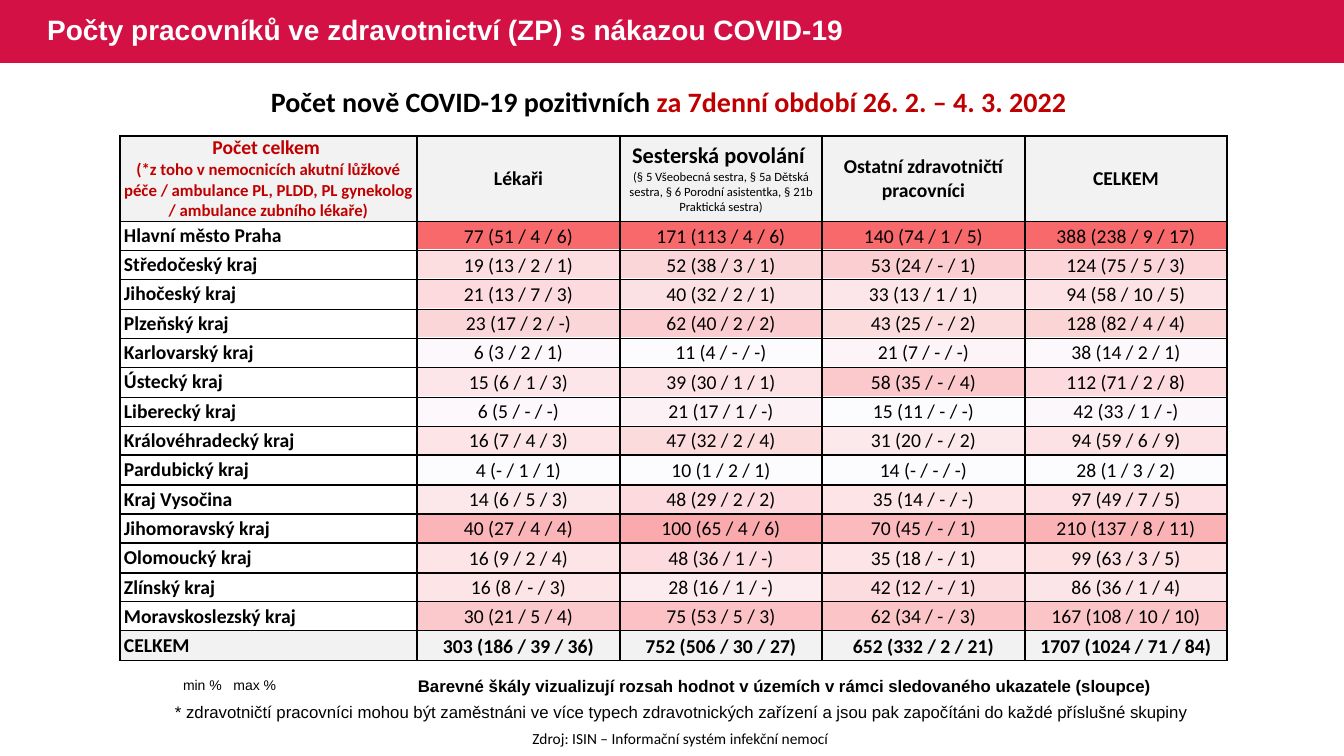
from math import ceil
from pptx import Presentation
from pptx.dml.color import RGBColor
from pptx.enum.shapes import MSO_SHAPE as Preset
from pptx.enum.text import MSO_ANCHOR as Anchor, PP_ALIGN as Align
from pptx.oxml import parse_xml
from pptx.oxml.ns import nsdecls
from pptx.util import Emu, Pt

CRIMSON = RGBColor(0xD3, 0x11, 0x45)
DARK_RED = RGBColor(0xC0, 0x00, 0x00)
LIGHT_GRAY = RGBColor(0xF2, 0xF2, 0xF2)
BLACK = RGBColor(0x00, 0x00, 0x00)
WHITE = RGBColor(0xFF, 0xFF, 0xFF)
SCALE_MIN = RGBColor(0xFC, 0xFC, 0xFF)
SCALE_MAX = RGBColor(0xF8, 0x69, 0x6B)


def px(length):
    return Emu(round(length * 12192000 / 1344))


def write(paragraph, text, size, color=BLACK, bold=False, name="Calibri"):
    run = paragraph.add_run()
    run.text = text
    for attribute, value in {"size": Pt(size), "bold": bold, "name": name}.items():
        setattr(run.font, attribute, value)
    run.font.color.rgb = color


presentation = Presentation()
presentation.slide_width = px(1344)
presentation.slide_height = px(756)
slide = presentation.slides.add_slide(presentation.slide_layouts[5])

title = slide.shapes.title
bar = slide.shapes.add_shape(Preset.RECTANGLE, 0, 0, px(1344), px(63))
bar.shadow.inherit = False
bar.fill.solid()
bar.fill.fore_color.rgb = CRIMSON
bar.line.fill.background()
title._element.addprevious(bar._element)

title.left, title.top, title.width, title.height = px(37), px(0), px(867), px(63)
title.text_frame.vertical_anchor = Anchor.MIDDLE
heading = title.text_frame.paragraphs[0]
heading.alignment = Align.LEFT
heading.line_spacing = 0.9
write(heading, "Počty pracovníků ve zdravotnictví (ZP) s nákazou COVID-19", 20, WHITE, True, "Arial")

header = [
    [("Počet celkem ", 14, DARK_RED, True),
     ("(*z toho v nemocnicích akutní lůžkové péče / ambulance PL, PLDD, PL gynekolog"
      " / ambulance zubního lékaře)", 12, DARK_RED, True)],
    [("Lékaři", 14, BLACK, True)],
    [("Sesterská povolání ", 16, BLACK, True),
     ("(§ 5 Všeobecná sestra, § 5a Dětská sestra, § 6 Porodní asistentka,"
      " § 21b Praktická sestra)", 9, BLACK, False)],
    [("Ostatní zdravotničtí pracovníci", 14, BLACK, True)],
    [("CELKEM", 14, BLACK, True)],
]
regions = [
    ["Hlavní město Praha", "77 (51 / 4 / 6)", "171 (113 / 4 / 6)", "140 (74 / 1 / 5)", "388 (238 / 9 / 17)"],
    ["Středočeský kraj", "19 (13 / 2 / 1)", "52 (38 / 3 / 1)", "53 (24 / - / 1)", "124 (75 / 5 / 3)"],
    ["Jihočeský kraj", "21 (13 / 7 / 3)", "40 (32 / 2 / 1)", "33 (13 / 1 / 1)", "94 (58 / 10 / 5)"],
    ["Plzeňský kraj", "23 (17 / 2 / -)", "62 (40 / 2 / 2)", "43 (25 / - / 2)", "128 (82 / 4 / 4)"],
    ["Karlovarský kraj", "6 (3 / 2 / 1)", "11 (4 / - / -)", "21 (7 / - / -)", "38 (14 / 2 / 1)"],
    ["Ústecký kraj", "15 (6 / 1 / 3)", "39 (30 / 1 / 1)", "58 (35 / - / 4)", "112 (71 / 2 / 8)"],
    ["Liberecký kraj", "6 (5 / - / -)", "21 (17 / 1 / -)", "15 (11 / - / -)", "42 (33 / 1 / -)"],
    ["Královéhradecký kraj", "16 (7 / 4 / 3)", "47 (32 / 2 / 4)", "31 (20 / - / 2)", "94 (59 / 6 / 9)"],
    ["Pardubický kraj", "4 (- / 1 / 1)", "10 (1 / 2 / 1)", "14 (- / - / -)", "28 (1 / 3 / 2)"],
    ["Kraj Vysočina", "14 (6 / 5 / 3)", "48 (29 / 2 / 2)", "35 (14 / - / -)", "97 (49 / 7 / 5)"],
    ["Jihomoravský kraj", "40 (27 / 4 / 4)", "100 (65 / 4 / 6)", "70 (45 / - / 1)", "210 (137 / 8 / 11)"],
    ["Olomoucký kraj", "16 (9 / 2 / 4)", "48 (36 / 1 / -)", "35 (18 / - / 1)", "99 (63 / 3 / 5)"],
    ["Zlínský kraj", "16 (8 / - / 3)", "28 (16 / 1 / -)", "42 (12 / - / 1)", "86 (36 / 1 / 4)"],
    ["Moravskoslezský kraj", "30 (21 / 5 / 4)", "75 (53 / 5 / 3)", "62 (34 / - / 3)", "167 (108 / 10 / 10)"],
]
total = ["CELKEM", "303 (186 / 39 / 36)", "752 (506 / 30 / 27)", "652 (332 / 2 / 21)", "1707 (1024 / 71 / 84)"]

rows = [header]
for region in regions:
    rows.append([[(text, 14, BLACK, column == 0)] for column, text in enumerate(region)])
rows.append([[(text, 14, BLACK, True)] for text in total])

counts = [[int(text.split()[0]) for text in region[1:]] for region in regions]
limits = [(min(column), max(column)) for column in zip(*counts)]
widths = [297, 203, 202, 203, 202]
heights = [85] + [29, 29, 30] * 5

shading = slide.shapes.add_table(15, 4, px(417), px(221), px(810), px(440)).table
table = slide.shapes.add_table(16, 5, px(120), px(136), px(1107), px(525)).table
for grid, grid_widths, grid_heights in ((shading, widths[1:], heights[1:]), (table, widths, heights)):
    grid.first_row = False
    grid.horz_banding = False
    for column, width in zip(grid.columns, grid_widths):
        column.width = px(width)
    for row, height in zip(grid.rows, grid_heights):
        row.height = px(height)

for cell in shading.iter_cells():
    for edge in ("left", "right", "top", "bottom"):
        setattr(cell, f"margin_{edge}", 0)
    cell.text_frame.paragraphs[0]._p.append(parse_xml(f'<a:endParaRPr {nsdecls("a")} sz="1000"/>'))
    cell.fill.background()
for row_index, row_counts in enumerate(counts):
    for column, count in enumerate(row_counts):
        low, high = limits[column]
        share = (count - low) / (high - low)
        fill = shading.cell(row_index, column).fill
        fill.solid()
        fill.fore_color.rgb = RGBColor(*(ceil(start + (end - start) * share)
                                         for start, end in zip(SCALE_MIN, SCALE_MAX)))

for row_index, row in enumerate(rows):
    for column, lines in enumerate(row):
        cell = table.cell(row_index, column)
        is_value = row_index > 0 and column > 0
        side = px(1 if is_value else 4)
        margins = {"margin_left": side, "margin_right": side,
                   "margin_top": px(1 if is_value else 0), "margin_bottom": 0}
        for attribute, value in margins.items():
            setattr(cell, attribute, value)
        cell.vertical_anchor = Anchor.MIDDLE
        for edge in ("lnL", "lnR", "lnT", "lnB"):
            cell._tc.get_or_add_tcPr().append(parse_xml(
                f'<a:{edge} {nsdecls("a")} w="12700"><a:solidFill>'
                f'<a:srgbClr val="{BLACK}"/></a:solidFill></a:{edge}>'))
        if row_index in (0, len(rows) - 1):
            cell.fill.solid()
            cell.fill.fore_color.rgb = LIGHT_GRAY
        else:
            cell.fill.background()
        for line_index, line in enumerate(lines):
            frame = cell.text_frame
            paragraph = frame.add_paragraph() if line_index else frame.paragraphs[0]
            paragraph.alignment = Align.LEFT if row_index and column == 0 else Align.CENTER
            write(paragraph, *line)

captions = [
    (67, 80, 1210, 44, Align.CENTER,
     [("Počet nově COVID-19 pozitivních ", 20, BLACK, True),
      ("za 7denní období 26. 2. – 4. 3. 2022 ", 20, DARK_RED, True)]),
    (408, 671, 778, 30, Align.LEFT,
     [("Barevné škály vizualizují rozsah hodnot v územích v rámci sledovaného ukazatele (sloupce)",
       12, BLACK, True, "Arial")]),
    (165, 697, 1034, 30, Align.LEFT,
     [("* zdravotničtí pracovníci mohou být zaměstnáni ve více typech zdravotnických zařízení"
       " a jsou pak započítáni do každé příslušné skupiny", 12, BLACK, False, "Arial")]),
    (330, 724, 701, 29, Align.CENTER,
     [("Zdroj: ISIN – Informační systém infekční nemocí", 11)]),
]
for left, top, width, height, alignment, runs in captions:
    frame = slide.shapes.add_textbox(px(left), px(top), px(width), px(height)).text_frame
    frame.word_wrap = True
    frame.paragraphs[0].alignment = alignment
    for run in runs:
        write(frame.paragraphs[0], *run)

scale_frame = slide.shapes.add_textbox(px(175), px(677), px(236), px(17)).text_frame
scale_frame.word_wrap = True
for edge in ("left", "right", "top", "bottom"):
    setattr(scale_frame, f"margin_{edge}", 0)
scale_labels = scale_frame.paragraphs[0]
properties = scale_labels._p.get_or_add_pPr()
properties.set("marL", str(px(8)))
properties.set("indent", "0")
properties.append(parse_xml(
    f'<a:tabLst {nsdecls("a")}><a:tab pos="{px(186)}" algn="l"/></a:tabLst>'))
write(scale_labels, "min %\tmax %", 10, name="Arial")

presentation.save("out.pptx")
